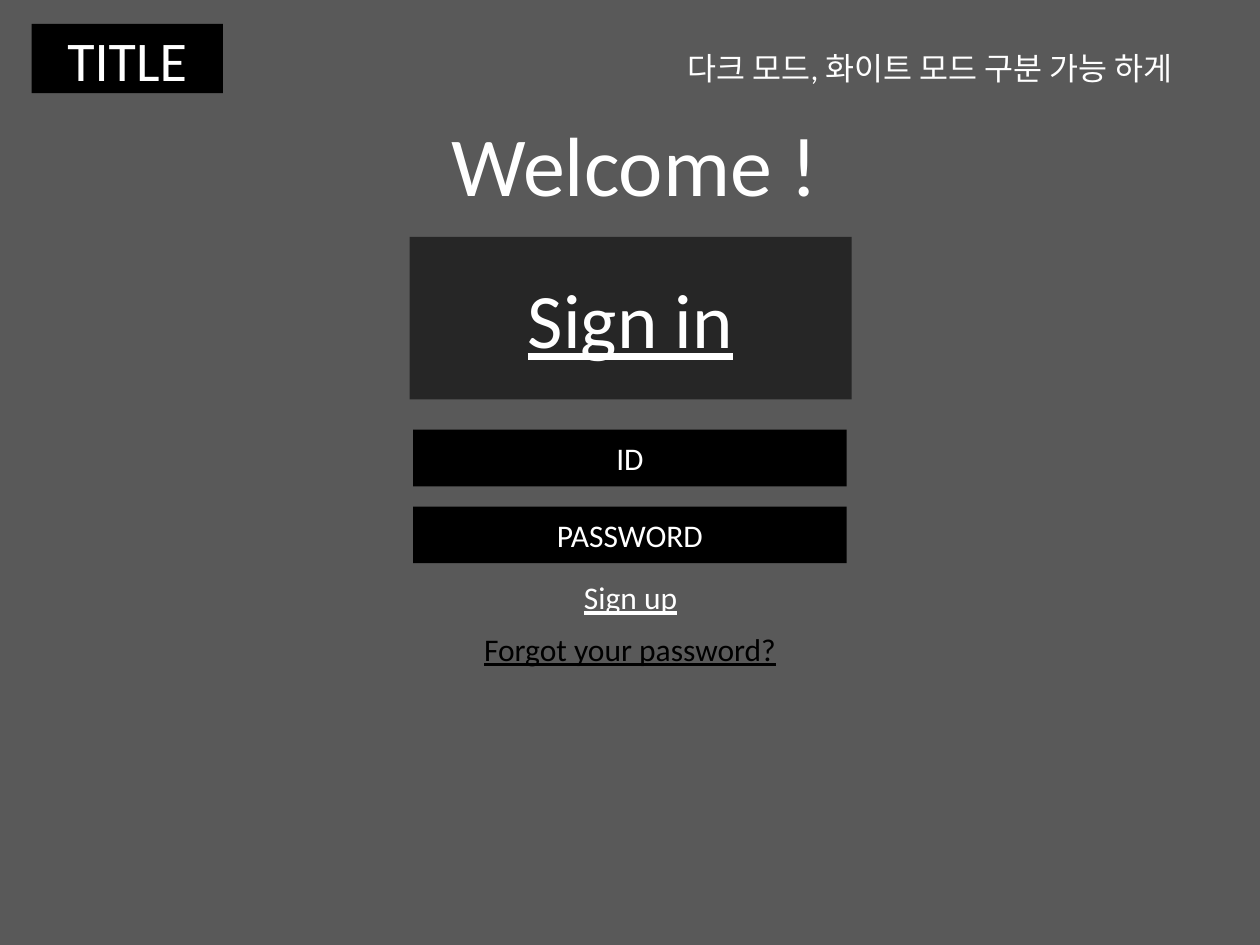
from pptx import Presentation
from pptx.dml.color import RGBColor
from pptx.enum.shapes import MSO_SHAPE
from pptx.enum.text import MSO_ANCHOR, MSO_AUTO_SIZE, PP_ALIGN
from pptx.util import Inches, Pt

RECTANGLE = MSO_SHAPE.RECTANGLE
MIDDLE = MSO_ANCHOR.MIDDLE
GROW = MSO_AUTO_SIZE.SHAPE_TO_FIT_TEXT
LEFT, CENTER = PP_ALIGN.LEFT, PP_ALIGN.CENTER
WHITE, BLACK, PANEL, BACKGROUND = "FFFFFF", "000000", "262626", "595959"


def paint(fill, color):
    fill.solid()
    fill.fore_color.rgb = RGBColor.from_string(color)


def write(box, text, size, color=WHITE, underline=None, align=CENTER):
    para = box.text_frame.paragraphs[0]
    para.alignment = align
    span = para.add_run()
    span.text = text
    font_format = {"name": "Calibri", "size": Pt(size), "underline": underline}
    for name, value in font_format.items():
        setattr(span.font, name, value)
    paint(span.font.fill, color)


deck = Presentation()
deck.slide_width, deck.slide_height = Inches(10), Inches(7.5)
page = deck.slides.add_slide(deck.slide_layouts[6])
paint(page.background.fill, BACKGROUND)

panels = [
    ("TITLE", (0.25, 0.19, 1.52, 0.55), BLACK, 32, None),
    ("Sign in", (3.25, 1.88, 3.51, 1.29), PANEL, 44, True),
]
for row, field in enumerate(["ID", "PASSWORD"]):
    panels.append((field, (3.28, 3.41 + row * 0.61, 3.44, 0.45), BLACK, 18, None))

for text, place, fill, size, underline in panels:
    panel = page.shapes.add_shape(RECTANGLE, *map(Inches, place))
    panel.shadow.inherit = False
    paint(panel.fill, fill)
    panel.line.fill.background()
    panel.text_frame.word_wrap = True
    panel.text_frame.vertical_anchor = MIDDLE
    write(panel, text, size, underline=underline)

labels = [
    ("Welcome !", (3.43, 0.84, 3.22, 0.91), 48, WHITE, None, CENTER),
    ("Forgot your password?", (3.63, 4.95, 2.74, 0.4), 18, BLACK, True, CENTER),
    ("Sign up", (4.48, 4.54, 1.05, 0.4), 18, WHITE, True, CENTER),
    ("다크 모드, 화이트 모드 구분 가능 하게", (5.36, 0.34, 4.42, 0.4), 18, WHITE, None, LEFT),
]
for text, place, size, color, underline, align in labels:
    label = page.shapes.add_textbox(*map(Inches, place))
    label.text_frame.word_wrap = True
    label.text_frame.auto_size = GROW
    write(label, text, size, color, underline, align)

deck.save("out.pptx")
